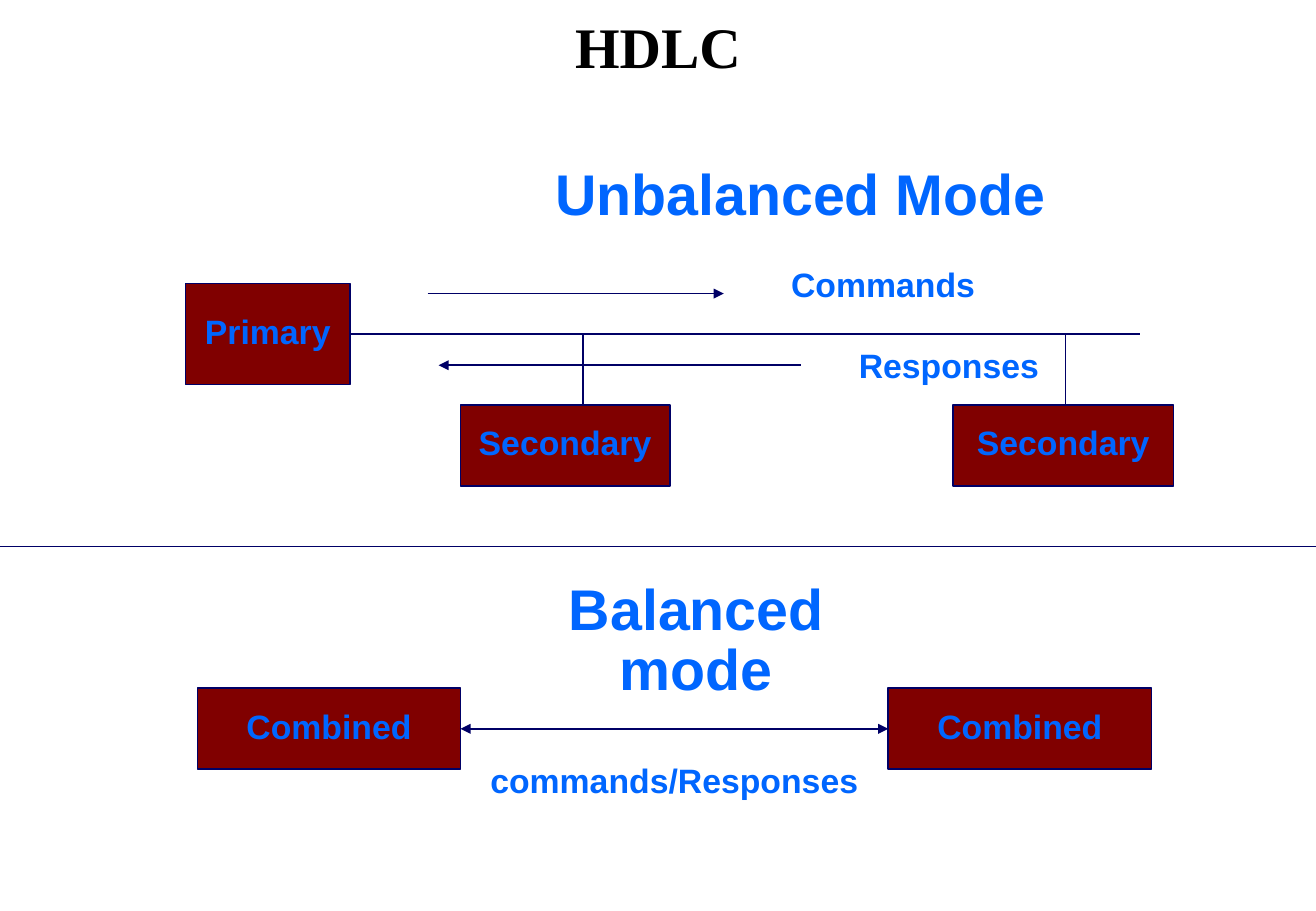
from pptx import Presentation
from pptx.dml.color import RGBColor
from pptx.enum.shapes import MSO_CONNECTOR, MSO_SHAPE
from pptx.enum.text import MSO_ANCHOR, MSO_AUTO_SIZE, PP_ALIGN
from pptx.oxml.ns import qn
from pptx.util import Pt
from lxml.etree import SubElement

BLACK = RGBColor(0x00, 0x00, 0x00)
BLUE = RGBColor(0x00, 0x66, 0xFF)
NAVY = RGBColor(0x00, 0x00, 0x66)
MAROON = RGBColor(0x80, 0x00, 0x00)

WIDTH, HEIGHT = 780, 540
BUS_Y, SECONDARY_Y = 198, 240
COMBINED_Y, COMBINED_WIDTH = 408, 156
STATION_HEIGHT = 48
HEADING_SIZE, LABEL_SIZE = 34, 20


class Diagram:
    font = "Arial"
    line_spacing = 0.87

    def __init__(self, page):
        self.page = page

    def set_text(self, box, text, size, color=BLUE, font=None):
        para = box.text_frame.paragraphs[0]
        para.text = text
        para.alignment = PP_ALIGN.CENTER
        para.line_spacing = self.line_spacing
        span = para.runs[0]
        span.font.name = font or self.font
        span.font.size = Pt(size)
        span.font.bold = True
        span.font.color.rgb = color

    def title(self, text, height):
        box = self.page.shapes.add_textbox(0, 0, Pt(WIDTH), Pt(height))
        frame = box.text_frame
        frame.margin_left = frame.margin_right = 0
        frame.margin_top = frame.margin_bottom = 0
        frame.vertical_anchor = MSO_ANCHOR.MIDDLE
        frame.word_wrap = True
        self.set_text(box, text, HEADING_SIZE, BLACK, "Times New Roman")

    def label(self, text, left, top, width, height, size=LABEL_SIZE):
        box = self.page.shapes.add_textbox(Pt(left), Pt(top), Pt(width), Pt(height))
        box.text_frame.word_wrap = True
        box.text_frame.auto_size = MSO_AUTO_SIZE.SHAPE_TO_FIT_TEXT
        self.set_text(box, text, size)

    def station(self, text, left, top, width, height=STATION_HEIGHT):
        box = self.page.shapes.add_shape(
            MSO_SHAPE.RECTANGLE, Pt(left), Pt(top), Pt(width), Pt(height))
        box.shadow.inherit = False
        box.fill.solid()
        box.fill.fore_color.rgb = MAROON
        box.line.color.rgb = NAVY
        box.line.width = Pt(1)
        box.text_frame.word_wrap = False
        box.text_frame.vertical_anchor = MSO_ANCHOR.MIDDLE
        self.set_text(box, text, LABEL_SIZE)

    def line(self, x1, y1, x2, y2, weight=1, arrows=()):
        link = self.page.shapes.add_connector(
            MSO_CONNECTOR.STRAIGHT, Pt(x1), Pt(y1), Pt(x2), Pt(y2))
        link.line.color.rgb = NAVY
        link.line.width = Pt(weight)
        properties = link._element.spPr
        outline = properties.find(qn("a:ln"))
        for end in arrows:
            SubElement(outline, qn(f"a:{end}"), type="triangle")
        SubElement(properties, qn("a:effectLst"))


def main():
    deck = Presentation()
    deck.slide_width, deck.slide_height = Pt(WIDTH), Pt(HEIGHT)
    diagram = Diagram(deck.slides.add_slide(deck.slide_layouts[6]))

    diagram.title("HDLC", 60)

    diagram.label("Unbalanced Mode", 286, 96, 377, 43, HEADING_SIZE)
    diagram.station("Primary", 110, 168, 97.5, 60)
    diagram.line(208, BUS_Y, 676, BUS_Y)
    for left, width, drop_x in ((273, 124, 345.5), (565, 130.5, 631.5)):
        diagram.station("Secondary", left, SECONDARY_Y, width)
        diagram.line(drop_x, BUS_Y, drop_x, SECONDARY_Y)
    diagram.line(253.5, 174, 429, 174, arrows=["tailEnd"])
    diagram.label("Commands", 448.5, 156, 150, 28)
    diagram.line(474.5, 216.5, 260, 216.5, arrows=["tailEnd"])
    diagram.label("Responses", 481, 204, 163, 28)

    diagram.line(0, 324, WIDTH, 324, weight=0.75)

    diagram.label("Balanced mode", 312, 342, 201.5, 79, HEADING_SIZE)
    left_x, right_x = 117, 526.5
    for left in (left_x, right_x):
        diagram.station("Combined", left, COMBINED_Y, COMBINED_WIDTH)
    link_y = COMBINED_Y + STATION_HEIGHT / 2
    diagram.line(left_x + COMBINED_WIDTH, link_y, right_x, link_y,
                 arrows=["headEnd", "tailEnd"])
    diagram.label("commands/Responses", 279.5, 450, 240.5, 28)

    deck.save("out.pptx")


if __name__ == "__main__":
    main()
